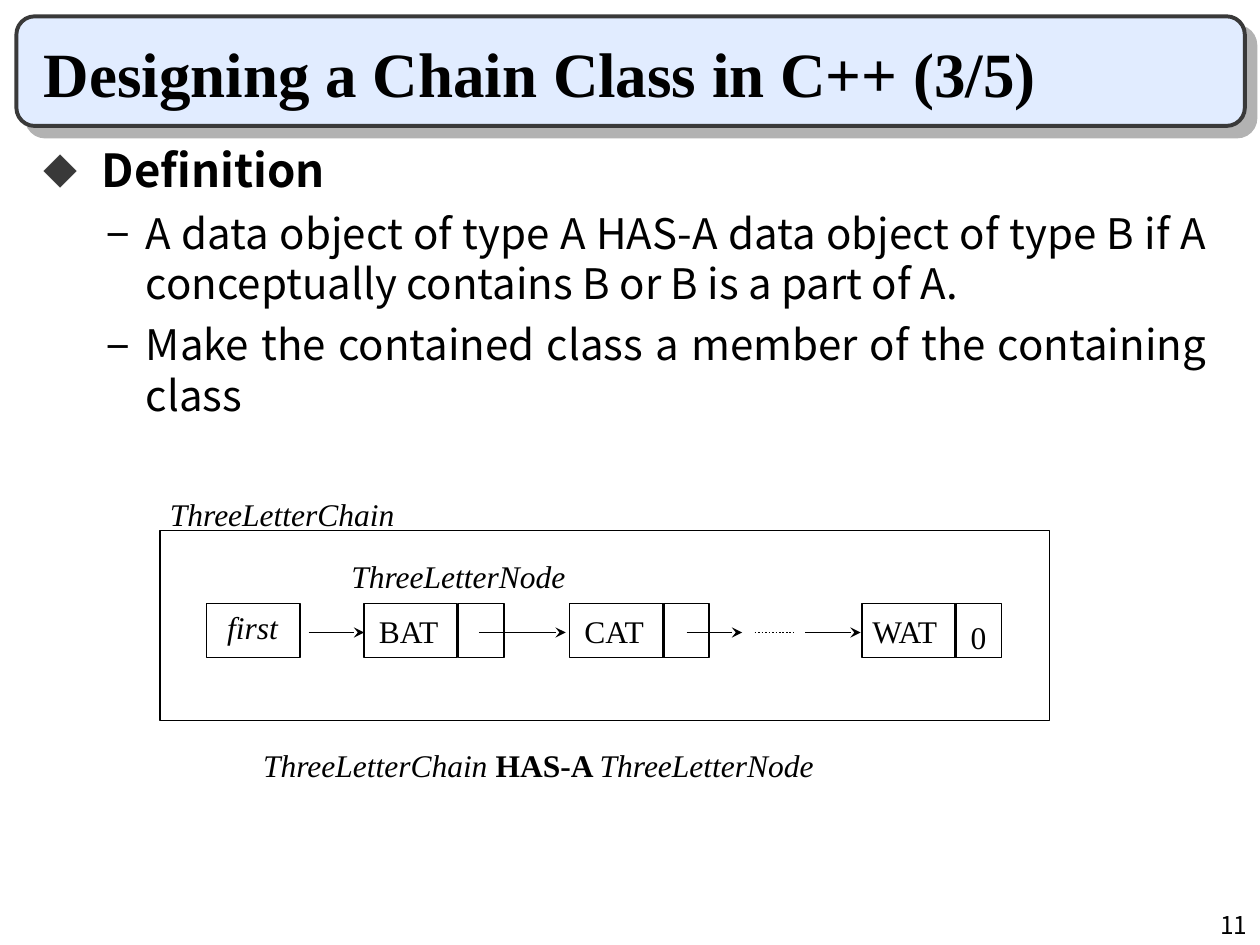
from lxml import etree
from pptx import Presentation
from pptx import util as u
from pptx.dml.color import RGBColor
from pptx.enum import dml, shapes, text
from pptx.oxml import parse_xml
from pptx.oxml.ns import nsdecls, qn

COLORS = {"ink": "000000", "banner": "E1ECFF", "edge": "393939", "shadow": "B2B2B2"}
SERIF, SANS = "Times New Roman", "Noto Sans CJK KR"
LABEL = {"name": SERIF, "size": u.Pt(18)}
ITALIC = {**LABEL, "italic": True}


def color(name):
    return RGBColor.from_string(COLORS[name])


def add_span(para, words, style):
    span = para.add_run()
    span.text = words
    span.font.color.rgb = color("ink")
    for key, value in style.items():
        setattr(span.font, key, value)
    # Symbols and East Asian glyphs use the same face
    for tag in ("a:ea", "a:cs"):
        face = etree.SubElement(span.font._element, qn(tag))
        face.set("typeface", style["name"])


def add_text(page, left, top, width, height, spans, wrap=False, **para_format):
    box = page.shapes.add_textbox(*map(u.Inches, (left, top, width, height)))
    box.text_frame.word_wrap = wrap
    para = box.text_frame.paragraphs[0]
    for key, value in para_format.items():
        setattr(para, key, value)
    for words, style in spans:
        add_span(para, words, style)
    return box


def add_frame(page, left, top, width, height, kind=shapes.MSO_SHAPE.RECTANGLE,
              fill=None, line="ink", weight=1):
    frame = page.shapes.add_shape(kind, *map(u.Inches, (left, top, width, height)))
    frame.shadow.inherit = False
    if fill:
        frame.fill.solid()
        frame.fill.fore_color.rgb = color(fill)
    else:
        frame.fill.background()
    frame.line.color.rgb = color(line)
    frame.line.width = u.Pt(weight)
    return frame


def add_link(page, start, end, y, dotted=False):
    link = page.shapes.add_connector(
        shapes.MSO_CONNECTOR.STRAIGHT, *map(u.Inches, (start, y, end, y)))
    link.line.color.rgb = color("ink")
    link.line.width = u.Pt(1)
    if dotted:
        link.line.dash_style = dml.MSO_LINE.ROUND_DOT
    else:
        tail = etree.SubElement(link.line._get_or_add_ln(), qn("a:tailEnd"))
        tail.set("type", "stealth")
    etree.SubElement(link._element.spPr, qn("a:effectLst"))


def add_banner(page, left, top, width, height):
    banner = add_frame(page, left, top, width, height,
                       shapes.MSO_SHAPE.ROUNDED_RECTANGLE, "banner", "edge", 2.25)
    effects = banner._element.spPr.find(qn("a:effectLst"))
    effects.append(parse_xml(
        f'<a:outerShdw {nsdecls("a")} blurRad="0" dist="{u.Pt(8.5)}" dir="2700000" '
        f'algn="ctr" rotWithShape="0"><a:srgbClr val="{COLORS["shadow"]}"/></a:outerShdw>'))
    title = add_text(page, left + 0.12, top + 0.12, width - 0.33, 0.67,
                     [("Designing a Chain Class in C++ (3/5)",
                       {"name": SERIF, "size": u.Pt(36), "bold": True})], wrap=True)
    title.text_frame.vertical_anchor = text.MSO_ANCHOR.BOTTOM


def set_bullet(para, char, tint, size, margin, hang):
    props = para._p.get_or_add_pPr()
    props.set("marL", str(u.Inches(margin)))
    props.set("indent", str(u.Inches(-hang)))
    for xml in (f'<a:buClr {nsdecls("a")}><a:srgbClr val="{COLORS[tint]}"/></a:buClr>',
                f'<a:buSzPct {nsdecls("a")} val="{size * 1000}"/>',
                f'<a:buFont {nsdecls("a")} typeface="{SANS}"/>',
                f'<a:buChar {nsdecls("a")} char="{char}"/>'):
        props.append(parse_xml(xml))


def add_body(page, left, top, width, height):
    head = ("◆", "edge", 75, 0.46, 0.46)
    item = ("−", "ink", 100, 0.81, 0.31)
    lines = [
        ("Definition", head, 26, True),
        ("A data object of type A HAS-A data object of type B if A "
         "conceptually contains B or B is a part of A.", item, 24, False),
        ("Make the contained class a member of the containing class", item, 24, False),
    ]
    box = add_text(page, left, top, width, height, [], wrap=True)
    frame = box.text_frame
    for index, (words, bullet, size, bold) in enumerate(lines):
        para = frame.add_paragraph() if index else frame.paragraphs[0]
        para.alignment = text.PP_ALIGN.JUSTIFY
        if index:
            para.level = 1
            para.space_before = u.Pt(6)
        set_bullet(para, *bullet)
        add_span(para, words, {"name": SANS, "size": u.Pt(size), "bold": bold})


def add_cell(page, left, top, width, label=None, label_width=0, drop=0.02, style=LABEL):
    add_frame(page, left, top, width, 0.43)
    if label:
        add_text(page, left + (width - label_width) / 2, top + drop,
                 label_width, 0.4, [(label, style)])


def add_chain(page, left, top, width, height):
    data_width, link_width = 0.74, 0.36
    row, axis = top + 0.58, top + 0.81
    add_frame(page, left, top, width, height)
    add_text(page, left - 0.02, top - 0.33, 1.99, 0.4, [("ThreeLetterChain", ITALIC)])
    add_text(page, left + 1.42, top + 0.16, 1.91, 0.4, [("ThreeLetterNode", ITALIC)])

    # Head pointer and nodes
    add_cell(page, left + 0.37, row, data_width, "first", 0.61, -0.01, ITALIC)
    for offset, word, word_width, end in ((1.62, "BAT", 0.7, None),
                                          (3.25, "CAT", 0.7, None),
                                          (5.57, "WAT", 0.77, "0")):
        add_cell(page, left + offset, row, data_width, word, word_width)
        add_cell(page, left + offset + data_width + 0.01, row, link_width, end, 0.33, 0.07)

    # Links between nodes
    for start, end in ((1.18, 1.62), (2.53, 3.22), (4.18, 4.62), (5.12, 5.56)):
        add_link(page, left + start, left + end, axis)
    add_link(page, left + 4.72, left + 5.03, axis, dotted=True)

    # Caption
    add_text(page, left + 0.72, top + height + 0.15, 4.6, 0.4,
             [("ThreeLetterChain ", ITALIC), ("HAS-A ", {**LABEL, "bold": True}),
              ("ThreeLetterNode", ITALIC)])


def main():
    deck = Presentation()
    deck.slide_width, deck.slide_height = u.Inches(10), u.Inches(7.5)
    page = deck.slides.add_slide(deck.slide_layouts[6])
    add_banner(page, 0.13, 0.13, 9.75, 0.87)
    add_body(page, 0.25, 1.08, 9.42, 5.83)
    add_chain(page, 1.27, 4.21, 7.06, 1.51)
    # Page number
    add_text(page, 7.92, 7.17, 2.08, 0.33, [("11", {"name": SANS, "size": u.Pt(14)})],
             wrap=True, alignment=text.PP_ALIGN.RIGHT)
    deck.save("out.pptx")


if __name__ == "__main__":
    main()
